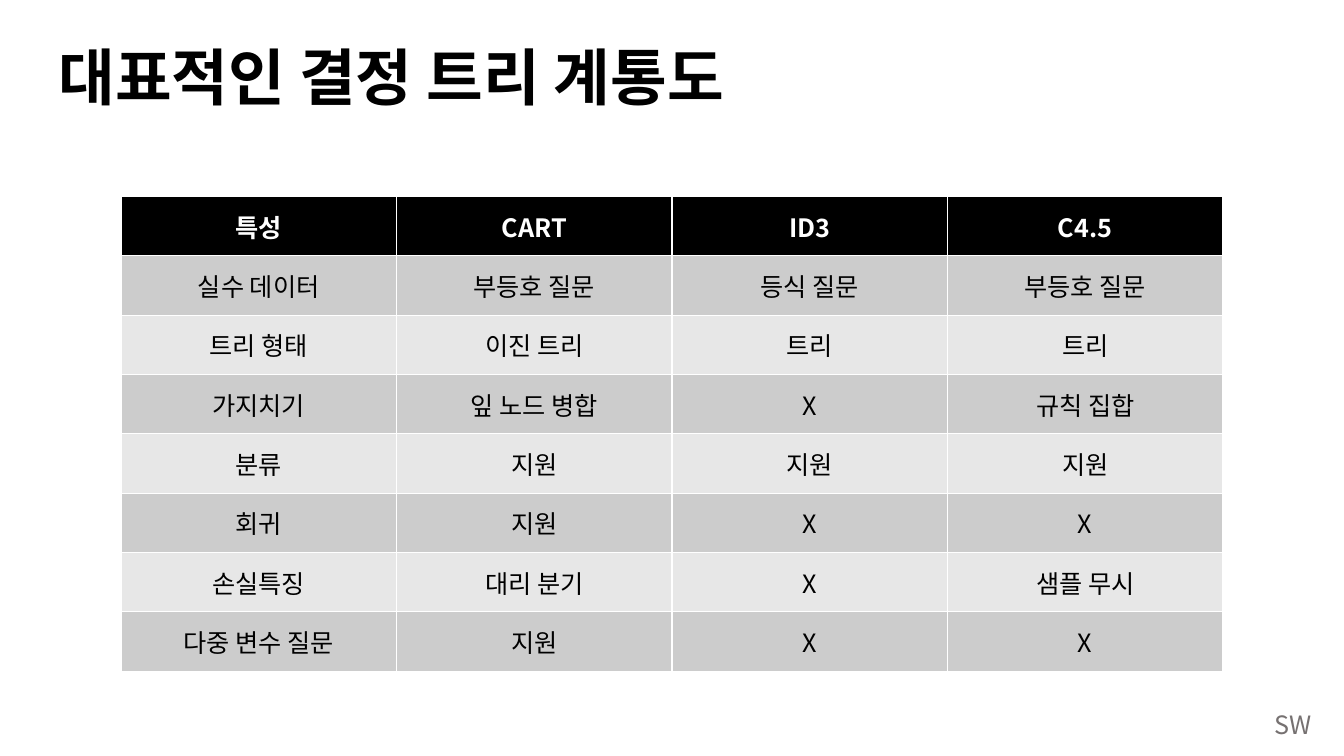
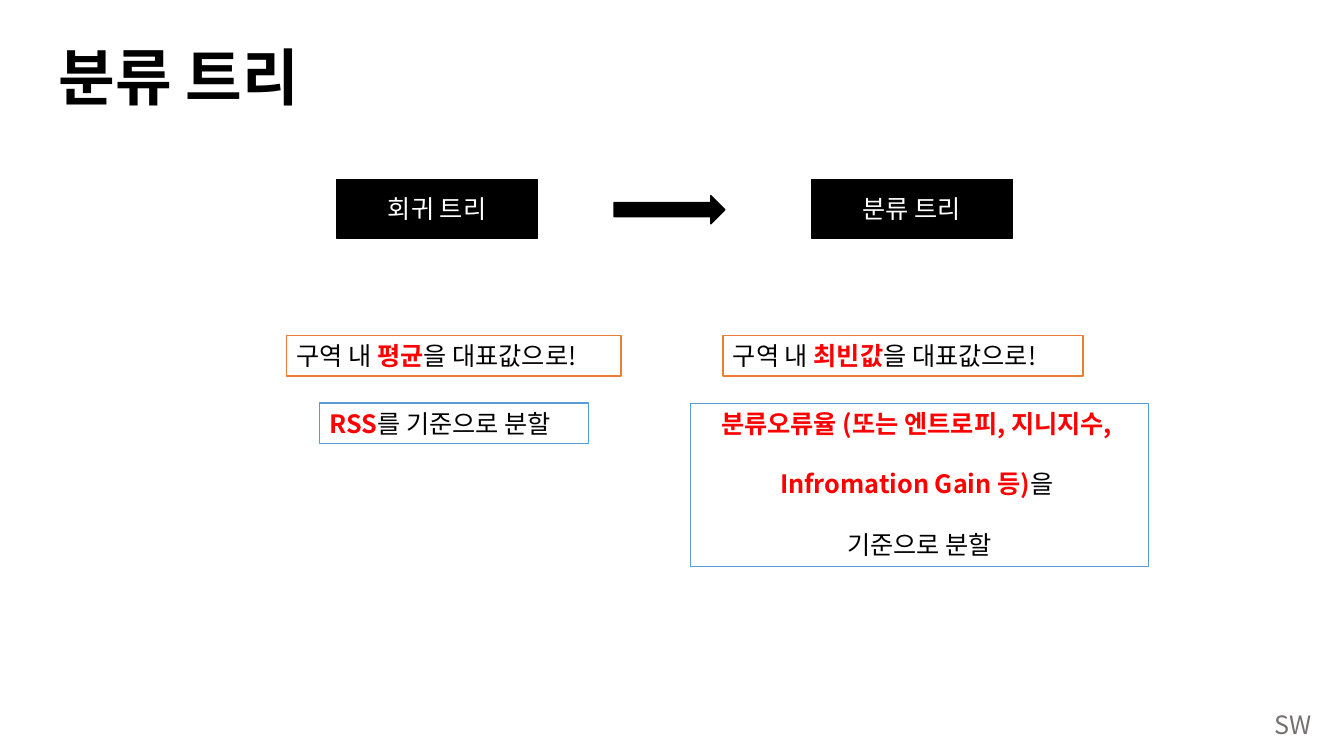
import pptx
import pptx.util
import pptx.dml.color
import pptx.enum.shapes
import pptx.enum.text
import pptx.oxml.ns
import lxml.etree

Inches, Pt = pptx.util.Inches, pptx.util.Pt
RGB = pptx.dml.color.RGBColor
SHAPE = pptx.enum.shapes.MSO_SHAPE
ALIGN = pptx.enum.text.PP_ALIGN
ANCHOR = pptx.enum.text.MSO_ANCHOR
AUTO = pptx.enum.text.MSO_AUTO_SIZE

BLACK = RGB(0x00, 0x00, 0x00)
WHITE = RGB(0xFF, 0xFF, 0xFF)
RED = RGB(0xFF, 0x00, 0x00)
GRAY = RGB(0x76, 0x71, 0x71)
DARK = RGB(0xCC, 0xCC, 0xCC)
LIGHT = RGB(0xE7, 0xE7, 0xE7)
ORANGE = RGB(0xED, 0x7D, 0x31)
BLUE = RGB(0x5B, 0x9B, 0xD5)
SANS = "Noto Sans CJK KR"
SERIF = "Times New Roman"
LINE = Pt(21.6)

ROWS = [
    ["특성", "CART", "ID3", "C4.5"],
    ["실수 데이터", "부등호 질문", "등식 질문", "부등호 질문"],
    ["트리 형태", "이진 트리", "트리", "트리"],
    ["가지치기", "잎 노드 병합", "X", "규칙 집합"],
    ["분류", "지원", "지원", "지원"],
    ["회귀", "지원", "X", "X"],
    ["손실특징", "대리 분기", "X", "샘플 무시"],
    ["다중 변수 질문", "지원", "X", "X"],
]


def style(para, color, size=18, bold=False, name=SANS, align=ALIGN.LEFT):
    """Set the font and alignment of a paragraph."""
    para.alignment = align
    font = para.font
    font.size, font.bold, font.name = Pt(size), bold, name
    font.color.rgb = color
    asian = lxml.etree.SubElement(font._element, pptx.oxml.ns.qn("a:ea"))
    asian.set("typeface", SANS)


def add_mark(prs, slide, box):
    """Put the corner mark on the master, so that all slides show it."""
    mark = slide.shapes.add_textbox(*map(Inches, box))
    para = mark.text_frame.paragraphs[0]
    para.text = "SW"
    style(para, GRAY)
    para.line_spacing = LINE
    prs.slide_master.element.cSld.spTree.append(mark._element)


def add_slide(prs, text):
    """Add a slide with its title."""
    slide = prs.slides.add_slide(prs.slide_layouts[5])
    title = slide.shapes.title
    title.left, title.top = Inches(0.48), Inches(0.07)
    title.width, title.height = Inches(11.5), Inches(1.45)
    frame = title.text_frame
    frame.text = text
    frame.auto_size = AUTO.NONE
    frame.vertical_anchor = ANCHOR.MIDDLE
    para = frame.paragraphs[0]
    style(para, BLACK, 44, True, SERIF)
    para.line_spacing = 0.9
    return slide


def add_grid(slide, box, rows):
    """Fill the box with a table under a black header row."""
    frame = slide.shapes.add_table(len(rows), len(rows[0]), *map(Inches, box))
    for i, row in enumerate(rows):
        head = i == 0
        fill = BLACK if head else DARK if i % 2 else LIGHT
        for j, text in enumerate(row):
            cell = frame.table.cell(i, j)
            cell.fill.solid()
            cell.fill.fore_color.rgb = fill
            cell.vertical_anchor = ANCHOR.MIDDLE
            cell.text = text
            style(cell.text_frame.paragraphs[0], WHITE if head else BLACK,
                  bold=head, align=ALIGN.CENTER)


def add_box(slide, box, fill=BLACK, line=BLACK, kind=SHAPE.RECTANGLE):
    """Add a plain shape with a thin outline."""
    shape = slide.shapes.add_shape(kind, *map(Inches, box))
    shape.shadow.inherit = False
    shape.fill.solid()
    shape.fill.fore_color.rgb = fill
    shape.line.color.rgb = line
    shape.line.width = Pt(1)
    return shape


def add_label(slide, box, text):
    """Add a black box with a centred name."""
    frame = add_box(slide, box).text_frame
    frame.vertical_anchor = ANCHOR.MIDDLE
    frame.text = text
    style(frame.paragraphs[0], WHITE, align=ALIGN.CENTER)


def add_note(slide, box, line, lines, align=ALIGN.LEFT):
    """Add an outlined box; each line is a list of (text, is key) pairs."""
    frame = add_box(slide, box, WHITE, line).text_frame
    frame.word_wrap = False
    frame.vertical_anchor = ANCHOR.TOP
    for i, parts in enumerate(lines):
        para = frame.add_paragraph() if i else frame.paragraphs[0]
        style(para, BLACK, align=align)
        para.line_spacing = LINE
        para.space_before = LINE if i else Pt(0)
        for text, key in parts:
            run = para.add_run()
            run.text = text
            if key:
                run.font.bold = True
                run.font.color.rgb = RED


def add_trees(slide, left, top):
    """Set regression trees beside classification trees."""
    for x, text in ((0.5, "회귀 트리"), (5.21, "분류 트리")):
        add_label(slide, (left + x, top, 1.99, 0.58), text)
    add_box(slide, (left + 3.25, top + 0.16, 1.1, 0.28),
            kind=SHAPE.RIGHT_ARROW)
    for x, wide, key in ((0, 3.32, "평균"), (4.33, 3.57, "최빈값")):
        add_note(slide, (left + x, top + 1.55, wide, 0.4), ORANGE,
                 [[("구역 내 ", False), (key, True), ("을 대표값으로!", False)]])
    add_note(slide, (left + 0.33, top + 2.22, 2.67, 0.4), BLUE,
             [[("RSS", True), ("를 기준으로 분할", False)]])
    add_note(slide, (left + 4.01, top + 2.22, 4.54, 1.62), BLUE,
             [[("분류오류율 (또는 엔트로피, 지니지수, ", True)],
              [("Infromation Gain 등)", True), ("을 ", False)],
              [("기준으로 분할", False)]], ALIGN.CENTER)


def main():
    """Build and save the slides."""
    prs = pptx.Presentation()
    prs.slide_width, prs.slide_height = Inches(13.33), Inches(7.5)
    family = add_slide(prs, "대표적인 결정 트리 계통도")
    add_mark(prs, family, (12.54, 6.99, 0.58, 0.4))
    add_grid(family, (1.2, 1.95, 10.93, 4.71), ROWS)
    add_trees(add_slide(prs, "분류 트리"), 2.84, 1.78)
    prs.save("out.pptx")


if __name__ == "__main__":
    main()
